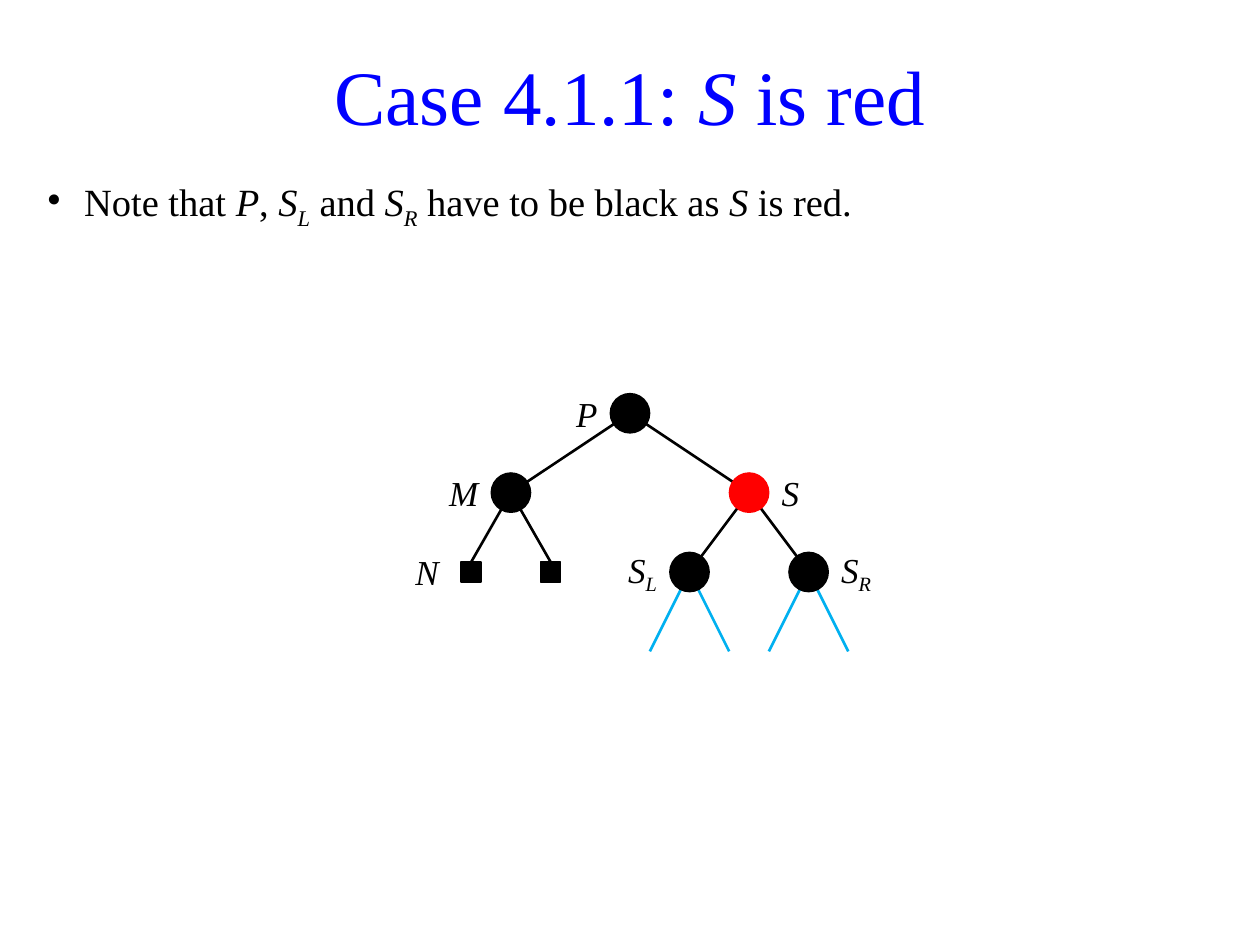
from dataclasses import dataclass

from lxml.etree import SubElement
from pptx import Presentation
from pptx.dml.color import RGBColor
from pptx.enum.shapes import MSO_CONNECTOR, MSO_SHAPE
from pptx.enum.text import MSO_ANCHOR, PP_ALIGN
from pptx.oxml.ns import qn
from pptx.util import Inches, Pt


@dataclass(frozen=True)
class Theme:
    font: str = "Times New Roman"
    title_size: int = 44
    body_size: int = 22
    label_size: int = 20
    edge_width: float = 1.5
    outline_width: float = 1
    title: RGBColor = RGBColor(0x00, 0x00, 0xFF)
    black: RGBColor = RGBColor(0x00, 0x00, 0x00)
    red: RGBColor = RGBColor(0xFF, 0x00, 0x00)
    subtree: RGBColor = RGBColor(0x00, 0xB0, 0xF0)


THEME = Theme()
ROOT_X, ROOT_Y = 5, 3.28
COLUMN, LEVEL = 0.315, 0.63
NODE_SIZE, LEAF_SIZE = 0.31, 0.16
LABEL_WIDTH, LABEL_OFFSET = 0.47, 0.395
PLAIN, ITALIC, SUBSCRIPT = range(3)


@dataclass(frozen=True)
class Node:
    """A tree node; column and level count grid steps from the root."""
    column: float
    level: int
    label: tuple = ()
    side: int = -1
    color: RGBColor = THEME.black
    is_leaf: bool = False

    @property
    def center(self):
        return ROOT_X + self.column * COLUMN, ROOT_Y + self.level * LEVEL


P = Node(0, 0, (("P", ITALIC),))
M = Node(-3, 1, (("M", ITALIC),))
S = Node(3, 1, (("S", ITALIC),), side=1, color=THEME.red)
N = Node(-4, 2, (("N", ITALIC),), is_leaf=True)
SIBLING_LEAF = Node(-2, 2, is_leaf=True)
S_L = Node(1.5, 2, (("S", ITALIC), ("L", SUBSCRIPT)))
S_R = Node(4.5, 2, (("S", ITALIC), ("R", SUBSCRIPT)), side=1)

NODES = (P, M, S, N, SIBLING_LEAF, S_L, S_R)
EDGES = ((P, M), (P, S), (M, N), (M, SIBLING_LEAF), (S, S_L), (S, S_R))

TITLE = (("Case 4.1.1: ", PLAIN), ("S", ITALIC), (" is red", PLAIN))
NOTE = (
    ("Note that ", PLAIN), ("P", ITALIC), (", ", PLAIN),
    ("S", ITALIC), ("L", SUBSCRIPT), (" and ", PLAIN),
    ("S", ITALIC), ("R", SUBSCRIPT), (" have to be black as ", PLAIN),
    ("S", ITALIC), (" is red.", PLAIN),
)


def add_text(page, left, top, width, height, spans, size, color, align):
    """Add a one-paragraph text box and return its paragraph."""
    box = page.shapes.add_textbox(*map(Inches, (left, top, width, height)))
    frame = box.text_frame
    frame.word_wrap = True
    frame.vertical_anchor = MSO_ANCHOR.MIDDLE
    para = frame.paragraphs[0]
    para.alignment = align
    for text, style in spans:
        span = para.add_run()
        span.text = text
        span.font.name = THEME.font
        span.font.size = Pt(size)
        span.font.color.rgb = color
        span.font.italic = style != PLAIN
        if style == SUBSCRIPT:
            span.font._element.set("baseline", "-25000")
    return para


def set_bullet(para, indent):
    properties = para._p.get_or_add_pPr()
    properties.set("marL", str(Inches(indent)))
    properties.set("indent", str(-Inches(indent)))
    SubElement(properties, qn("a:buChar")).set("char", "•")


def add_line(page, start, end, color):
    line = page.shapes.add_connector(
        MSO_CONNECTOR.STRAIGHT, *map(Inches, (*start, *end)))
    line.line.color.rgb = color
    line.line.width = Pt(THEME.edge_width)
    SubElement(line._element.spPr, qn("a:effectLst"))


def add_edge(page, parent, child):
    x, y = child.center
    if child.is_leaf:
        y -= LEAF_SIZE / 2
    add_line(page, parent.center, (x, y), THEME.black)


def add_subtree_stubs(page, node):
    x, y = node.center
    for step in (COLUMN, -COLUMN):
        add_line(page, (x, y), (x + step, y + LEVEL), THEME.subtree)


def add_node(page, node):
    x, y = node.center
    size = LEAF_SIZE if node.is_leaf else NODE_SIZE
    kind = MSO_SHAPE.RECTANGLE if node.is_leaf else MSO_SHAPE.OVAL
    shape = page.shapes.add_shape(
        kind, *map(Inches, (x - size / 2, y - size / 2, size, size)))
    shape.shadow.inherit = False
    shape.fill.solid()
    shape.fill.fore_color.rgb = node.color
    shape.line.color.rgb = node.color
    shape.line.width = Pt(THEME.outline_width)


def add_label(page, node):
    x, y = node.center
    left = x + node.side * LABEL_OFFSET - LABEL_WIDTH / 2
    align = PP_ALIGN.LEFT if node.side > 0 else PP_ALIGN.RIGHT
    add_text(page, left, y - LEVEL / 2, LABEL_WIDTH, LEVEL, node.label,
             THEME.label_size, THEME.black, align)


def add_tree(page):
    for node in (S_L, S_R):
        add_subtree_stubs(page, node)
    for parent, child in EDGES:
        add_edge(page, parent, child)
    for node in NODES:
        add_node(page, node)
        if node.label:
            add_label(page, node)


def main():
    deck = Presentation()
    deck.slide_width, deck.slide_height = Inches(10), Inches(7.5)
    page = deck.slides.add_slide(deck.slide_layouts[6])
    add_text(page, 0.43, 0.28, 9.14, 0.94, TITLE,
             THEME.title_size, THEME.title, PP_ALIGN.CENTER)
    note = add_text(page, 0.28, 1.39, 9.45, 0.47, NOTE,
                    THEME.body_size, THEME.black, PP_ALIGN.LEFT)
    set_bullet(note, 0.29)
    add_tree(page)
    deck.save("out.pptx")


if __name__ == "__main__":
    main()
